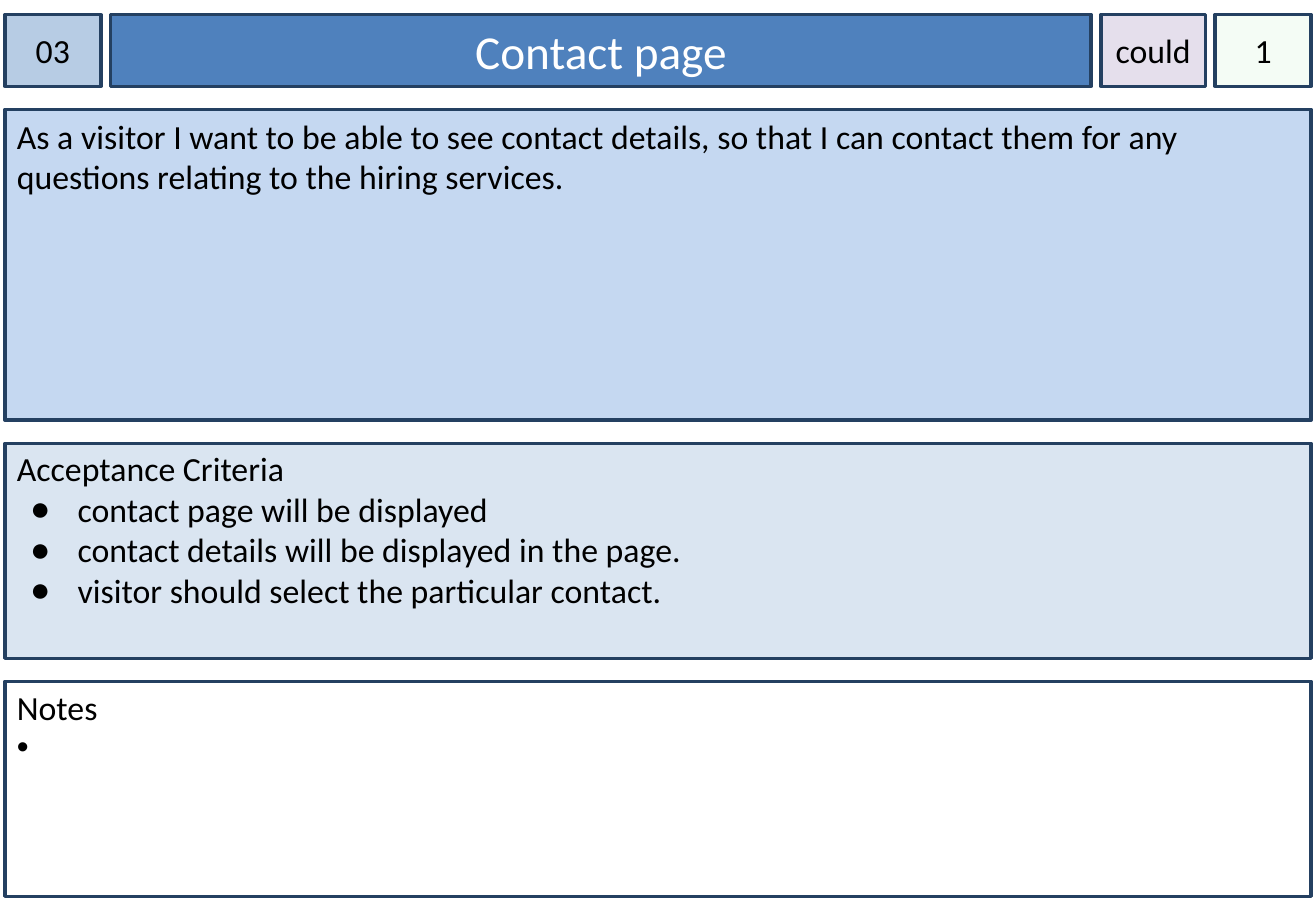
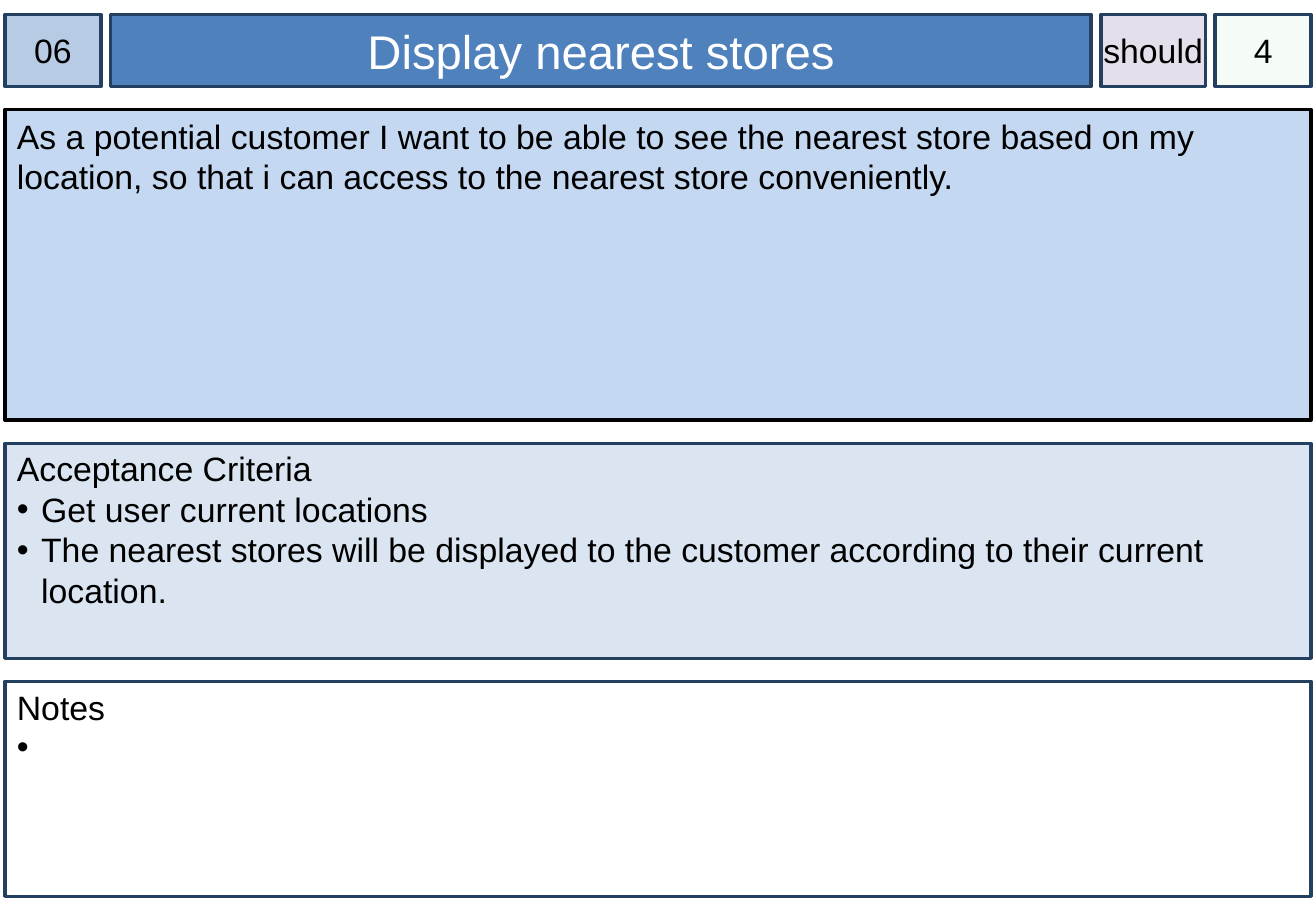
from dataclasses import dataclass

from lxml import etree
from pptx import Presentation
from pptx import util as u
from pptx.dml.color import RGBColor
from pptx.enum import shapes, text
from pptx.oxml.ns import qn

PX = 9144  # one px is a hundredth of an inch
SLIDE_W, SLIDE_H = 1083, 750
LEFT, TOP = 4, 12
COL_GAP, ROW_GAP = 8, 19
HEADER_WIDTHS = (79, 807, 86, 79)  # number, title, priority, estimate
ROW_HEIGHTS = (59, 256, 177, 177)  # header, story, criteria, notes
FULL_W = sum(HEADER_WIDTHS) + COL_GAP * (len(HEADER_WIDTHS) - 1)


@dataclass(frozen=True)
class Theme:
    ink: str = "000000"
    border: str = "244061"
    number: str = "B7CCE4"
    title: str = "4F81BD"
    title_ink: str = "FFFFFF"
    priority: str = "E5DFEC"
    estimate: str = "CCF0CD"
    estimate_alpha: int = 20
    story: str = "C5D8F1"
    criteria: str = "DAE5F1"
    notes: str = "FFFFFF"
    body_size: int = 20
    title_size: int = 28
    line_width: int = 2
    bullet_font: str = "Arial"


T = Theme()


@dataclass(frozen=True)
class Bullet:
    char: str
    margin: int
    hanging: int


DOT = Bullet("•", 20, 20)
DISC = Bullet("●", 50, 39)


@dataclass(frozen=True)
class Story:
    number: str
    title: str
    priority: str
    estimate: str
    story: str
    criteria: tuple
    font: str
    bullet: Bullet = DOT
    story_border: str = T.border


STORIES = (
    Story("03", "Contact page", "could", "1",
          "As a visitor I want to be able to see contact details, so that I can "
          "contact them for any questions relating to the hiring services.",
          ("contact page will be displayed",
           "contact details will be displayed in the page.",
           "visitor should select the particular contact."),
          "Calibri", bullet=DISC),
    Story("06", "Display nearest stores", "should", "4",
          "As a potential customer I want to be able to see the nearest store based "
          "on my location, so that i can access to the nearest store conveniently.",
          ("Get user current locations",
           "The nearest stores will be displayed to the customer according to "
           "their current location."),
          "Arial", story_border=T.ink),
)


def starts(first, sizes, gap):
    """Start of each item in a run of sizes parted by equal gaps."""
    return [first + sum(sizes[:i]) + gap * i for i in range(len(sizes))]


def set_bullet(p, bullet):
    pPr = p._p.get_or_add_pPr()
    pPr.set("marL", str(bullet.margin * PX))
    pPr.set("indent", str(-bullet.hanging * PX))
    etree.SubElement(pPr, qn("a:buFont"), typeface=T.bullet_font)
    etree.SubElement(pPr, qn("a:buChar"), char=bullet.char)


def write(sp, lines, *, font, size=T.body_size, color=T.ink, bullet=None,
          centred=False, side=10, top=5):
    """Fill a shape with paragraphs; those after the first take the bullet."""
    tf = sp.text_frame
    tf.word_wrap = True
    tf.auto_size = text.MSO_AUTO_SIZE.NONE
    tf.margin_left = tf.margin_right = side * PX
    tf.margin_top, tf.margin_bottom = top * PX, 5 * PX
    tf.vertical_anchor = text.MSO_ANCHOR.MIDDLE if centred else text.MSO_ANCHOR.TOP
    for i, line in enumerate(lines):
        p = tf.add_paragraph() if i else tf.paragraphs[0]
        p.alignment = text.PP_ALIGN.CENTER if centred else text.PP_ALIGN.LEFT
        if i and bullet:
            set_bullet(p, bullet)
        r = p.add_run()
        r.text = line
        r.font.name, r.font.size = font, u.Pt(size)
        r.font.color.rgb = RGBColor.from_string(color)


def paint(sp, fill, border=T.border, alpha=None):
    sp.fill.solid()
    sp.fill.fore_color.rgb = RGBColor.from_string(fill)
    if alpha is not None:
        clr = sp._element.spPr.find(qn("a:solidFill")).find(qn("a:srgbClr"))
        etree.SubElement(clr, qn("a:alpha"), val=str(alpha * 1000))
    sp.line.color.rgb = RGBColor.from_string(border)
    sp.line.width = u.Pt(T.line_width)


def add_box(s, x, y, w, h, fill, **style):
    sp = s.shapes.add_shape(shapes.MSO_SHAPE.RECTANGLE,
                            *(v * PX for v in (x, y, w, h)))
    sp.shadow.inherit = False
    paint(sp, fill, **style)
    return sp


def add_title(s, x, y, w, h, title, font):
    sp = s.shapes.title
    sp.left, sp.top, sp.width, sp.height = (v * PX for v in (x, y, w, h))
    paint(sp, T.title)
    write(sp, [title], font=font, size=T.title_size, color=T.title_ink, centred=True)


def add_story(prs, card):
    s = prs.slides.add_slide(prs.slide_layouts[5])
    xs = starts(LEFT, HEADER_WIDTHS, COL_GAP)
    ys = starts(TOP, ROW_HEIGHTS, ROW_GAP)

    # Header: title bar and three tags
    add_title(s, xs[1], ys[0], HEADER_WIDTHS[1], ROW_HEIGHTS[0], card.title, card.font)
    tags = ((0, card.number, T.number, None),
            (2, card.priority, T.priority, None),
            (3, card.estimate, T.estimate, T.estimate_alpha))
    for col, label, fill, alpha in tags:
        sp = add_box(s, xs[col], ys[0], HEADER_WIDTHS[col], ROW_HEIGHTS[0], fill,
                     alpha=alpha)
        write(sp, [label], font=card.font, centred=True, side=0)

    # Full-width panels
    panels = (([card.story], T.story, card.story_border, None, 5),
              (["Acceptance Criteria", *card.criteria], T.criteria, T.border,
               card.bullet, 4),
              (["Notes", " "], T.notes, T.border, DOT, 4))
    for y, h, (lines, fill, border, bullet, top) in zip(ys[1:], ROW_HEIGHTS[1:], panels):
        sp = add_box(s, LEFT, y, FULL_W, h, fill, border=border)
        write(sp, lines, font=card.font, bullet=bullet, top=top)


def main():
    prs = Presentation()
    prs.slide_width, prs.slide_height = SLIDE_W * PX, SLIDE_H * PX
    for card in STORIES:
        add_story(prs, card)
    prs.save("out.pptx")


if __name__ == "__main__":
    main()
